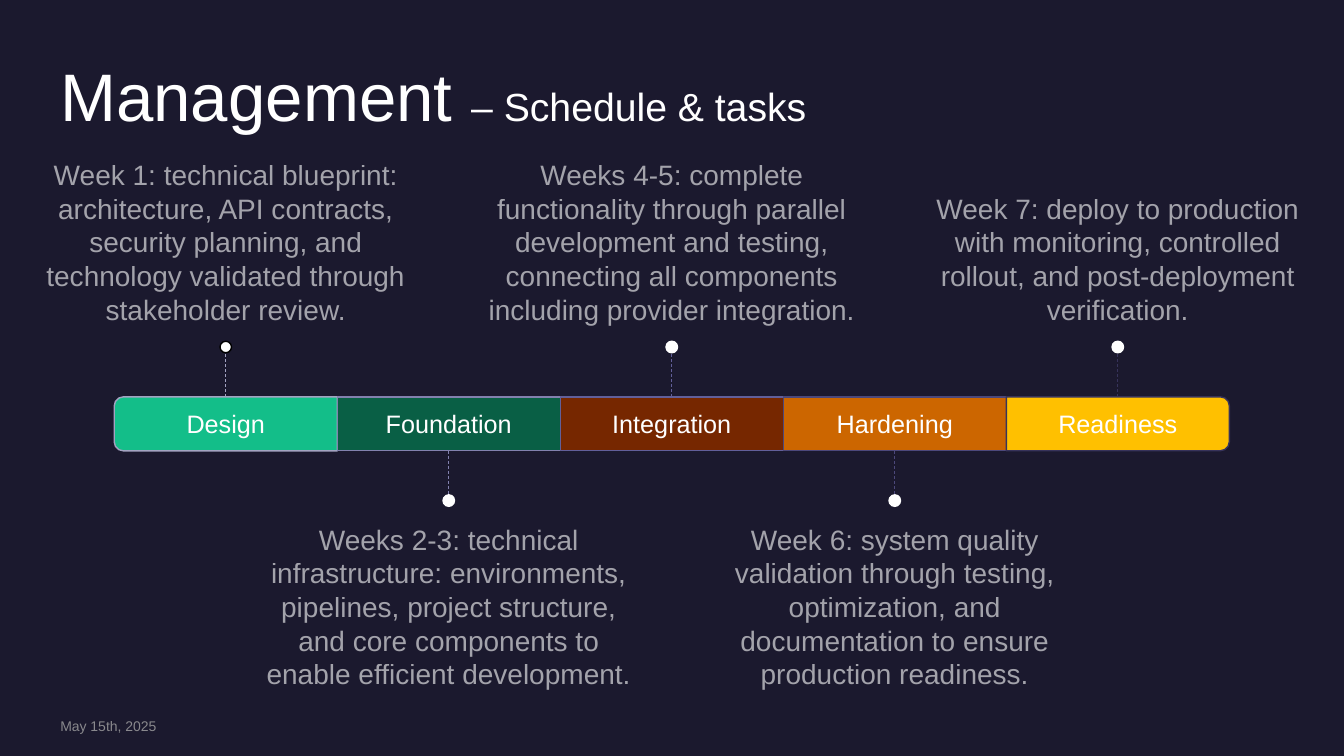
"""Build the management schedule slide with a five-stage timeline."""
from lxml import etree
from pptx import Presentation
from pptx.dml.color import RGBColor
from pptx.enum.dml import MSO_LINE
from pptx.enum.shapes import MSO_CONNECTOR, MSO_SHAPE as Preset
from pptx.enum.text import MSO_ANCHOR as Anchor, MSO_AUTO_SIZE as AutoSize, PP_ALIGN as Align
from pptx.oxml.ns import qn
from pptx.util import Cm, Pt

FONT = "Arial"
WHITE = "FFFFFF"
TITLE = [("Management ", 48), ("– Schedule & tasks", 28)]
DATE = "May 15th, 2025"
STAGES = [
    ("Design", "13BE89", "A3A3C1", "000000",
     "Week 1: technical blueprint: architecture, API contracts, security planning, "
     "and technology validated through stakeholder review."),
    ("Foundation", "095F45", "8281AE", WHITE,
     "Weeks 2-3: technical infrastructure: environments, pipelines, project structure, "
     "and core components to enable efficient development."),
    ("Integration", "762700", "625F9A", WHITE,
     "Weeks 4-5: complete functionality through parallel development and testing, "
     "connecting all components including provider integration."),
    ("Hardening", "CC6600", "4C487B", WHITE,
     "Week 6: system quality validation through testing, optimization, "
     "and documentation to ensure production readiness."),
    ("Readiness", "FFC000", "37335B", WHITE,
     "Week 7: deploy to production with monitoring, controlled rollout, "
     "and post-deployment verification."),
]
END_ROTATIONS = {0: 270, len(STAGES) - 1: 90}

BAR_LEFT, BAR_TOP, STAGE_WIDTH, BAR_HEIGHT = 2.88, 10, 5.62, 1.36
NOTE_WIDTH, NOTE_HEIGHT, NOTE_GAP = 9.37, 4.8, 0.43
NOTE_TOP_ABOVE, NOTE_TOP_BELOW = 3.84, 12.73
STEM, DOT = 1.11, 0.29


def rgb(value):
    return RGBColor.from_string(value)


def style_run(span, size, color=WHITE, opacity=100):
    span.font.name = FONT
    span.font.size = Pt(size)
    span.font.color.rgb = rgb(color)
    if opacity < 100:
        tint = span.font.color._xFill.find(qn("a:srgbClr"))
        etree.SubElement(tint, qn("a:alpha"), val=str(opacity * 1000))


def set_frame(frame, anchor, top=0, bottom=0):
    frame.word_wrap = True
    frame.auto_size = AutoSize.NONE
    frame.vertical_anchor = anchor
    frame.margin_left = frame.margin_right = 0
    frame.margin_top, frame.margin_bottom = Cm(top), Cm(bottom)


def add_text(page, text, area, size, align=Align.CENTER, anchor=Anchor.MIDDLE,
             color=WHITE, opacity=100, top=0, bottom=0):
    frame = page.shapes.add_textbox(*map(Cm, area)).text_frame
    set_frame(frame, anchor, top, bottom)
    para = frame.paragraphs[0]
    para.text = text
    para.alignment = align
    style_run(para.runs[0], size, color, opacity)


def add_shape(page, preset, area, fill, line):
    shape = page.shapes.add_shape(preset, *map(Cm, area))
    shape.shadow.inherit = False
    shape.fill.solid()
    shape.fill.fore_color.rgb = rgb(fill)
    shape.line.color.rgb = rgb(line)
    shape.line.width = Pt(1)
    return shape


def add_stem(page, x, start, end, color):
    stem = page.shapes.add_connector(MSO_CONNECTOR.STRAIGHT, Cm(x), Cm(start), Cm(x), Cm(end))
    stem.line.color.rgb = rgb(color)
    stem.line.width = Pt(0.5)
    stem.line.dash_style = MSO_LINE.DASH
    etree.SubElement(stem._element.spPr, qn("a:effectLst"))
    return stem


def add_title(page):
    title = page.shapes.title
    title.left, title.top, title.width, title.height = map(Cm, (1.52, 1.52, 30.81, 1.98))
    set_frame(title.text_frame, Anchor.MIDDLE)
    para = title.text_frame.paragraphs[0]
    para.alignment = Align.LEFT
    para.line_spacing = 0.9
    for text, size in TITLE:
        span = para.add_run()
        span.text = text
        style_run(span, size)


def add_stage(page, index, name, fill, line, dot_line, note):
    left = BAR_LEFT + index * STAGE_WIDTH
    center = left + STAGE_WIDTH / 2
    above = index % 2 == 0
    area = (left, BAR_TOP, STAGE_WIDTH, BAR_HEIGHT)

    if index in END_ROTATIONS:
        upright = (center - BAR_HEIGHT / 2, BAR_TOP + (BAR_HEIGHT - STAGE_WIDTH) / 2,
                   BAR_HEIGHT, STAGE_WIDTH)
        block = add_shape(page, Preset.ROUND_2_SAME_RECTANGLE, upright, fill, line)
        block.rotation = END_ROTATIONS[index]
    else:
        block = add_shape(page, Preset.RECTANGLE, area, fill, line)
    add_text(page, name, area, 18)

    note_top = NOTE_TOP_ABOVE if above else NOTE_TOP_BELOW
    add_text(page, note, (center - NOTE_WIDTH / 2, note_top, NOTE_WIDTH, NOTE_HEIGHT), 20,
             anchor=Anchor.BOTTOM if above else Anchor.TOP, opacity=60,
             top=0 if above else NOTE_GAP, bottom=NOTE_GAP if above else 0)

    edge = BAR_TOP if above else BAR_TOP + BAR_HEIGHT
    tip = edge - STEM if above else edge + STEM
    stem = add_stem(page, center, edge, tip, line)
    if index not in END_ROTATIONS:
        stem.begin_connect(block, 0 if above else 2)
    dot_top = tip - DOT if above else tip
    add_shape(page, Preset.OVAL, (center - DOT / 2, dot_top, DOT, DOT), WHITE, dot_line)


def main():
    deck = Presentation()
    deck.slide_width, deck.slide_height = Cm(33.87), Cm(19.05)
    page = deck.slides.add_slide(deck.slide_layouts[5])
    page.background.fill.solid()
    page.background.fill.fore_color.rgb = rgb("1B192E")
    add_title(page)
    for index, stage in enumerate(STAGES):
        add_stage(page, index, *stage)
    add_text(page, DATE, (1.52, 18.08, 7.32, 0.43), 10, align=Align.LEFT,
             color="A6A6A6", opacity=80)
    deck.save("out.pptx")


if __name__ == "__main__":
    main()
